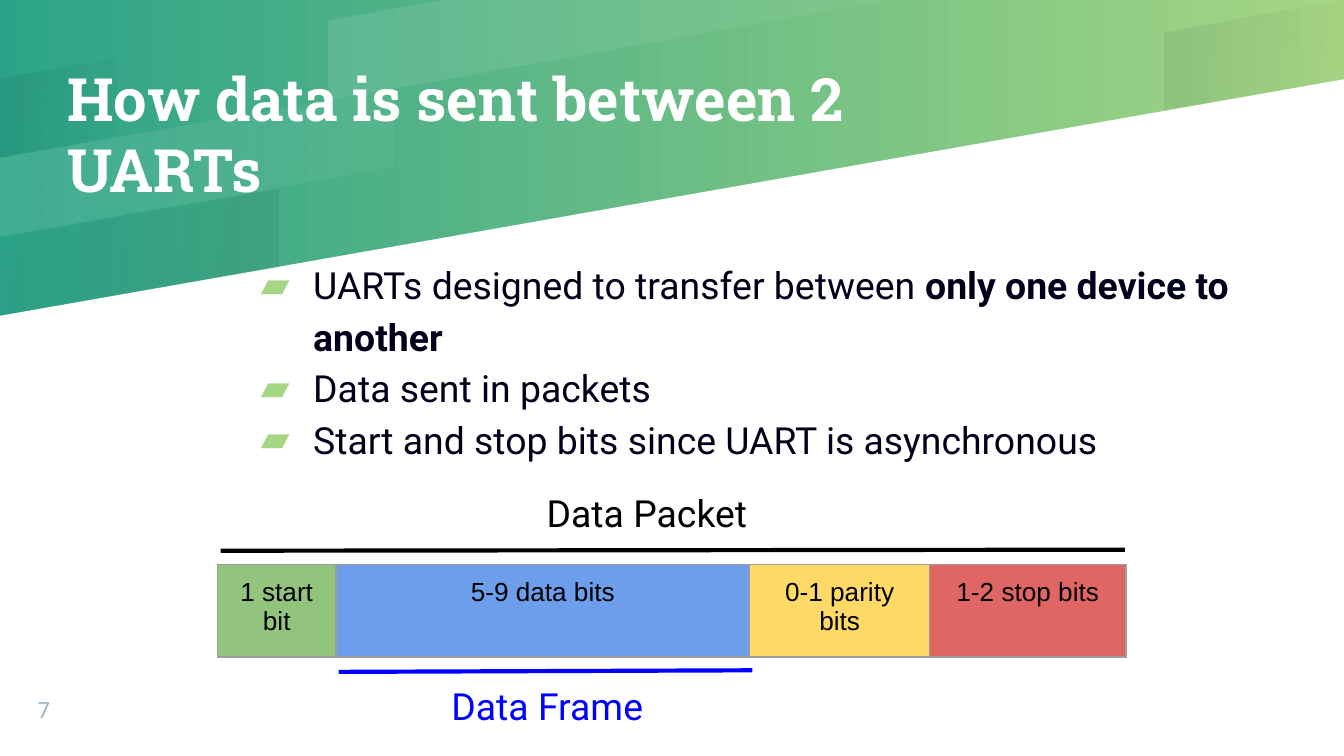
from lxml.etree import SubElement as Sub
from pptx import Presentation
from pptx.dml.color import RGBColor as RGB
from pptx.enum.shapes import MSO_CONNECTOR as Conn
from pptx.enum.text import MSO_ANCHOR as Anchor, PP_ALIGN as Align
from pptx.oxml import parse_xml
from pptx.oxml.ns import nsdecls, qn
from pptx.util import Cm, Pt

THEME = {
    "teal": "2CA388", "lime": "A6D683", "white": "FFFFFF", "ink": "00001A",
    "black": "000000", "blue": "0000FF", "mute": "9EB3C2", "edge": "9E9E9E",
    "head": ("Roboto Slab", 32), "body": ("Roboto", 20),
    "cell": ("Arial", 14), "page": ("Roboto", 12),
}

TITLE = "How data is sent between 2 UARTs"
POINTS = [
    [("UARTs designed to transfer between ", False),
     ("only one device to another", True)],
    [("Data sent in packets", False)],
    [("Start and stop bits since UART is asynchronous", False)],
]
# label, fill, width in cm
FIELDS = [
    ("1 start bit", "93C47D", 2.24),
    ("5-9 data bits", "6D9EEB", 7.82),
    ("0-1 parity bits", "FFD966", 3.4),
    ("1-2 stop bits", "E06666", 3.71),
]
# label, colour, text box in cm, line ends in cm
SPANS = [
    ("Data Packet", "black", (10.08, 9.02, 6.25, 0.69), (4.17, 10.41, 21.26, 10.39)),
    ("Data Frame", "blue", (8.28, 12.67, 5.77, 0.91), (6.4, 12.7, 14.22, 12.67)),
]
PAPER = [(0, 14.29), (25.4, 14.29), (25.4, 1.5), (0, 5.97)]
# colour, opacity from and to in percent, corners in cm
BANDS = [
    ("white", (11, 4), [(8.43, 0), (6.2, 0.38), (6.2, 1.88), (16.89, 0)]),
    ("ink", (7, 1), [(0, 1.47), (0, 2.97), (2.21, 2.59), (2.21, 1.09)]),
    ("ink", (1, 7), [(0, 4.47), (0, 5.97), (5.26, 5.05), (5.26, 3.56)]),
    ("ink", (7, 1), [(25.4, 0), (25.37, 0), (22, 0.61), (22, 2.08), (25.4, 1.5)]),
    ("white", (11, 4), [(0, 2.97), (0, 4.47), (7.44, 3.15), (7.44, 1.68)]),
]


def tint(name):
    return RGB.from_string(THEME[name])


def style(font, kind, color, bold=None):
    font.name, size = THEME[kind]
    font.size = Pt(size)
    font.color.rgb = tint(color)
    font.bold = bold


def blend(fill, names, angle):
    fill.gradient()
    fill.gradient_angle = angle
    for stop, name in zip(fill.gradient_stops, names):
        stop.color.rgb = tint(name)


def outline(slide, dots):
    """Add a closed, unlined shape through corners given in cm."""
    first, *rest = [(Cm(x), Cm(y)) for x, y in dots]
    pen = slide.shapes.build_freeform(*first)
    pen.add_line_segments(rest, close=True)
    shape = pen.convert_to_shape()
    shape.shadow.inherit = False
    shape.line.fill.background()
    return shape


def textbox(slide, box, inset=0, anchor=Anchor.TOP):
    frame = slide.shapes.add_textbox(*map(Cm, box)).text_frame
    frame.word_wrap = True
    frame.vertical_anchor = anchor
    frame.margin_left = frame.margin_right = Cm(inset)
    frame.margin_top = frame.margin_bottom = Cm(inset)
    return frame


def label(slide, text, box, kind, color, bold=None, **look):
    para = textbox(slide, box, **look).paragraphs[0]
    run = para.add_run()
    run.text = text
    style(para.font, kind, color, bold)
    return run


def backdrop(slide):
    blend(slide.background.fill, ("teal", "lime"), 0)
    paper = outline(slide, PAPER)
    paper.fill.solid()
    paper.fill.fore_color.rgb = tint("white")
    for name, fade, dots in BANDS:
        band = outline(slide, dots)
        blend(band.fill, (name, name), 350)
        colors = band.element.spPr.iter(qn("a:srgbClr"))
        for color, part in zip(colors, fade):
            Sub(color, qn("a:alpha"), val=str(part * 1000))


def heading(slide):
    run = label(slide, TITLE, (1.27, 0, 15.24, 5.03), "head", "white", True,
                anchor=Anchor.MIDDLE)
    run.font.color.rgb = tint("white")
    run.font.fill._xPr.append(parse_xml(
        f'<a:effectLst {nsdecls("a")}><a:outerShdw blurRad="28575" '
        'dist="19050" dir="2700000"><a:srgbClr val="00001A">'
        '<a:alpha val="30000"/></a:srgbClr></a:outerShdw></a:effectLst>'))


def bullets(slide):
    frame = textbox(slide, (4.65, 4.83, 18.75, 3.89))
    for i, parts in enumerate(POINTS):
        para = frame.add_paragraph() if i else frame.paragraphs[0]
        para.line_spacing = 1.15
        props = para._p.get_or_add_pPr()
        props.set("marL", str(Cm(1.27)))
        props.set("indent", str(-Cm(0.99)))
        Sub(Sub(props, qn("a:buClr")), qn("a:srgbClr"), val=THEME["lime"])
        Sub(props, qn("a:buFont"), typeface=THEME["body"][0])
        Sub(props, qn("a:buChar"), char="▰")
        style(para.font, "body", "ink")
        for text, bold in parts:
            run = para.add_run()
            run.text = text
            run.font.bold = bold


def border(cell):
    props = cell._tc.get_or_add_tcPr()
    for side in ("lnL", "lnR", "lnT", "lnB"):
        line = Sub(props, qn(f"a:{side}"), w=str(Pt(0.75)))
        Sub(Sub(line, qn("a:solidFill")), qn("a:srgbClr"), val=THEME["edge"])


def packet(slide):
    wide = sum(width for *_, width in FIELDS)
    table = slide.shapes.add_table(
        1, len(FIELDS), Cm(4.11), Cm(10.67), Cm(wide), Cm(1.75)).table
    table.first_row = table.horz_banding = False
    for i, (text, color, width) in enumerate(FIELDS):
        table.columns[i].width = Cm(width)
        cell = table.cell(0, i)
        cell.margin_left = cell.margin_right = Cm(0.25)
        cell.margin_top = cell.margin_bottom = Cm(0.25)
        border(cell)
        cell.fill.solid()
        cell.fill.fore_color.rgb = RGB.from_string(color)
        cell.text = text
        para = cell.text_frame.paragraphs[0]
        para.alignment = Align.CENTER
        style(para.font, "cell", "black")


def spans(slide):
    for text, color, box, ends in SPANS:
        line = slide.shapes.add_connector(Conn.STRAIGHT, *map(Cm, ends))
        line.line.color.rgb = tint(color)
        line.line.width = Pt(2.25)
        Sub(line.element.spPr, qn("a:effectLst"))
        label(slide, text, box, "body", color, inset=0.25)


def main():
    deck = Presentation()
    deck.slide_width, deck.slide_height = Cm(25.4), Cm(14.29)
    slide = deck.slides.add_slide(deck.slide_layouts[6])
    backdrop(slide)
    heading(slide)
    bullets(slide)
    label(slide, "7", (0.71, 12.98, 1.35, 0.69), "page", "mute",
          anchor=Anchor.BOTTOM)
    packet(slide)
    spans(slide)
    deck.save("out.pptx")


if __name__ == "__main__":
    main()
